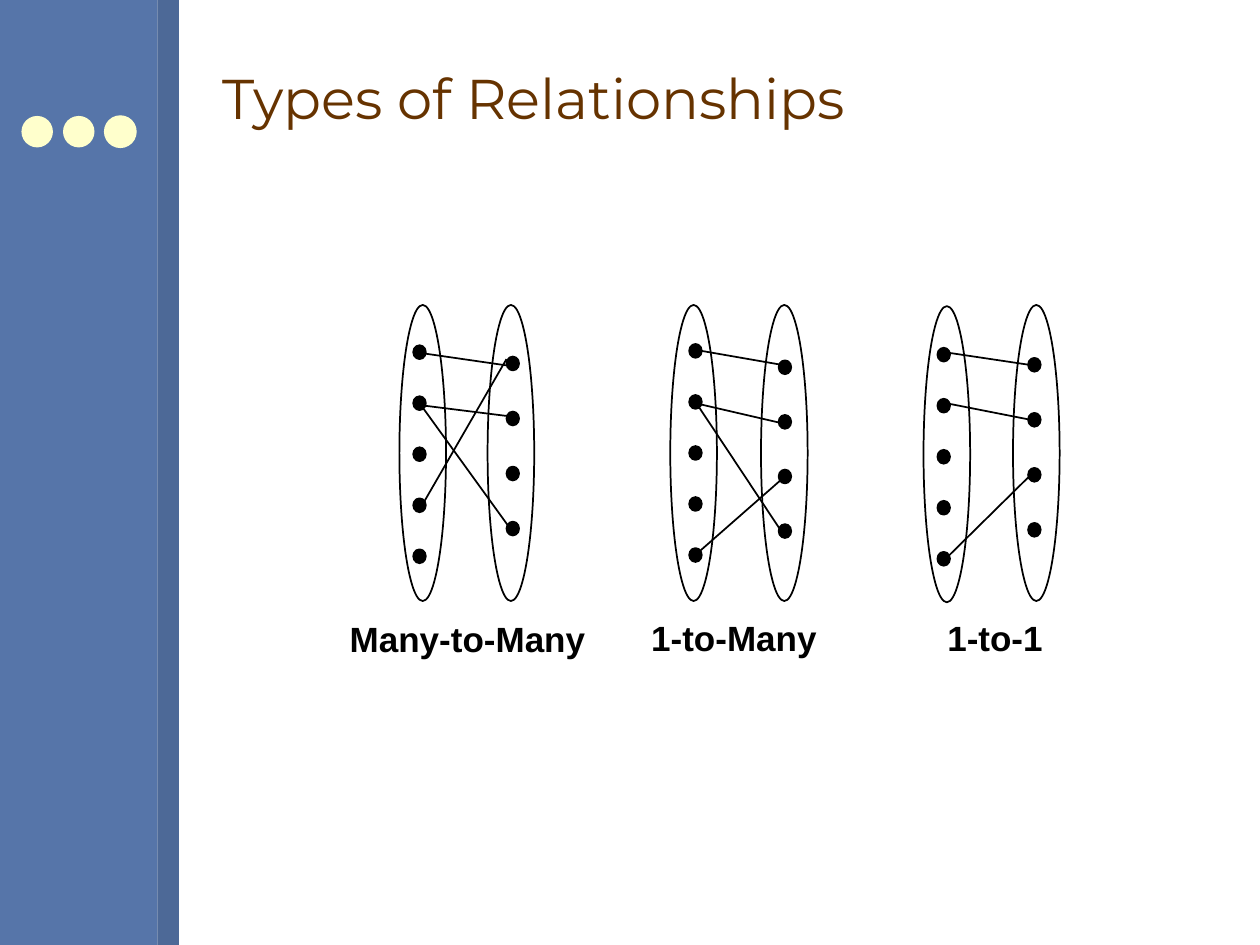
from dataclasses import dataclass

from lxml.etree import SubElement
from pptx import Presentation
from pptx.dml.color import RGBColor
from pptx.enum.shapes import MSO_CONNECTOR as CONN, MSO_SHAPE as SHAPE
from pptx.enum.text import MSO_ANCHOR as ANCHOR, PP_ALIGN as ALIGN
from pptx.oxml.ns import qn
from pptx.util import Inches, Pt

BLACK = "000000"
CREAM = "FFFFCC"
DOT_W, DOT_H = 0.1, 0.11
SET_W, SET_H = 0.37, 2.35


@dataclass
class Relationship:
    label: str
    label_box: tuple
    sets: tuple
    left_dots: tuple
    right_dots: tuple
    links: tuple
    align: ALIGN = ALIGN.LEFT


RELATIONSHIPS = (
    Relationship(
        "1-to-1", (7.42, 4.84, 1.05, 0.43),
        ((7.33, 2.43), (8.04, 2.42)), (7.44, 2.76, 4.38), (8.16, 2.84, 4.15),
        ((7.53, 2.8, 8.2, 2.9), (7.51, 3.2, 8.22, 3.34),
         (7.49, 4.45, 8.2, 3.75)),
    ),
    Relationship(
        "1-to-Many", (5.07, 4.84, 1.6, 0.43),
        ((5.32, 2.42), (6.04, 2.42)), (5.47, 2.73, 4.35), (6.18, 2.86, 4.16),
        ((5.54, 2.78, 6.23, 2.9), (5.52, 3.2, 6.21, 3.36),
         (5.54, 3.22, 6.21, 4.23), (6.22, 3.79, 5.49, 4.43)),
    ),
    Relationship(
        "Many-to-Many", (2.67, 4.85, 2.08, 0.43),
        ((3.17, 2.42), (3.87, 2.42)), (3.28, 2.74, 4.36), (4.02, 2.83, 4.14),
        ((3.33, 2.8, 4.02, 2.9), (3.37, 3.22, 4.09, 3.31),
         (3.35, 4.01, 4.02, 2.85), (3.33, 3.2, 4.06, 4.21)),
        ALIGN.CENTER,
    ),
)


def color(value):
    return RGBColor.from_string(value)


def add_box(slide, kind, x, y, w, h, fill=None, line=None, width=1):
    sp = slide.shapes.add_shape(kind, Inches(x), Inches(y), Inches(w), Inches(h))
    sp.shadow.inherit = False
    if fill:
        sp.fill.solid()
        sp.fill.fore_color.rgb = color(fill)
    else:
        sp.fill.background()
    if line:
        sp.line.color.rgb = color(line)
        sp.line.width = Pt(width)
    else:
        sp.line.fill.background()


def add_link(slide, x1, y1, x2, y2):
    cn = slide.shapes.add_connector(
        CONN.STRAIGHT, Inches(x1), Inches(y1), Inches(x2), Inches(y2))
    cn.line.color.rgb = color(BLACK)
    cn.line.width = Pt(1)
    SubElement(cn._element.spPr, qn("a:effectLst"))


def add_text(slide, box, text, font, size, fill, bold=False,
             align=ALIGN.LEFT, anchor=ANCHOR.TOP):
    tf = slide.shapes.add_textbox(*map(Inches, box)).text_frame
    tf.word_wrap = True
    tf.vertical_anchor = anchor
    p = tf.paragraphs[0]
    p.alignment = align
    r = p.add_run()
    r.text = text
    r.font.name = font
    r.font.size = Pt(size)
    r.font.bold = bold
    r.font.color.rgb = color(fill)


def add_dots(slide, column, count):
    x, first, last = column
    step = (last - first) / (count - 1)
    for i in range(count):
        add_box(slide, SHAPE.OVAL, x, first + i * step, DOT_W, DOT_H, BLACK, BLACK)


def add_relationship(slide, rel):
    add_text(slide, rel.label_box, rel.label, "Arial", 20, BLACK, bold=True,
             align=rel.align)
    for x, y in rel.sets:
        add_box(slide, SHAPE.OVAL, x, y, SET_W, SET_H, line=BLACK)
    for link in rel.links:
        add_link(slide, *link)
    add_dots(slide, rel.left_dots, 5)
    add_dots(slide, rel.right_dots, 4)


def add_sidebar(slide):
    add_box(slide, SHAPE.RECTANGLE, 0, 0, 1.25, 7.5, "5675A9")
    add_box(slide, SHAPE.RECTANGLE, 1.25, 0, 0.17, 7.5, "4D6997")
    for x, line in ((0.17, None), (0.5, None), (0.83, CREAM)):
        add_box(slide, SHAPE.OVAL, x, 0.92, 0.25, 0.25, CREAM, line, 0.75)


def main():
    prs = Presentation()
    prs.slide_width, prs.slide_height = Inches(10), Inches(7.5)
    slide = prs.slides.add_slide(prs.slide_layouts[6])
    add_sidebar(slide)
    add_text(slide, (1.67, 0.21, 8, 1.13), "Types of Relationships",
             "Montserrat", 32, "663300", anchor=ANCHOR.MIDDLE)
    for rel in RELATIONSHIPS:
        add_relationship(slide, rel)
    prs.save("out.pptx")


if __name__ == "__main__":
    main()
